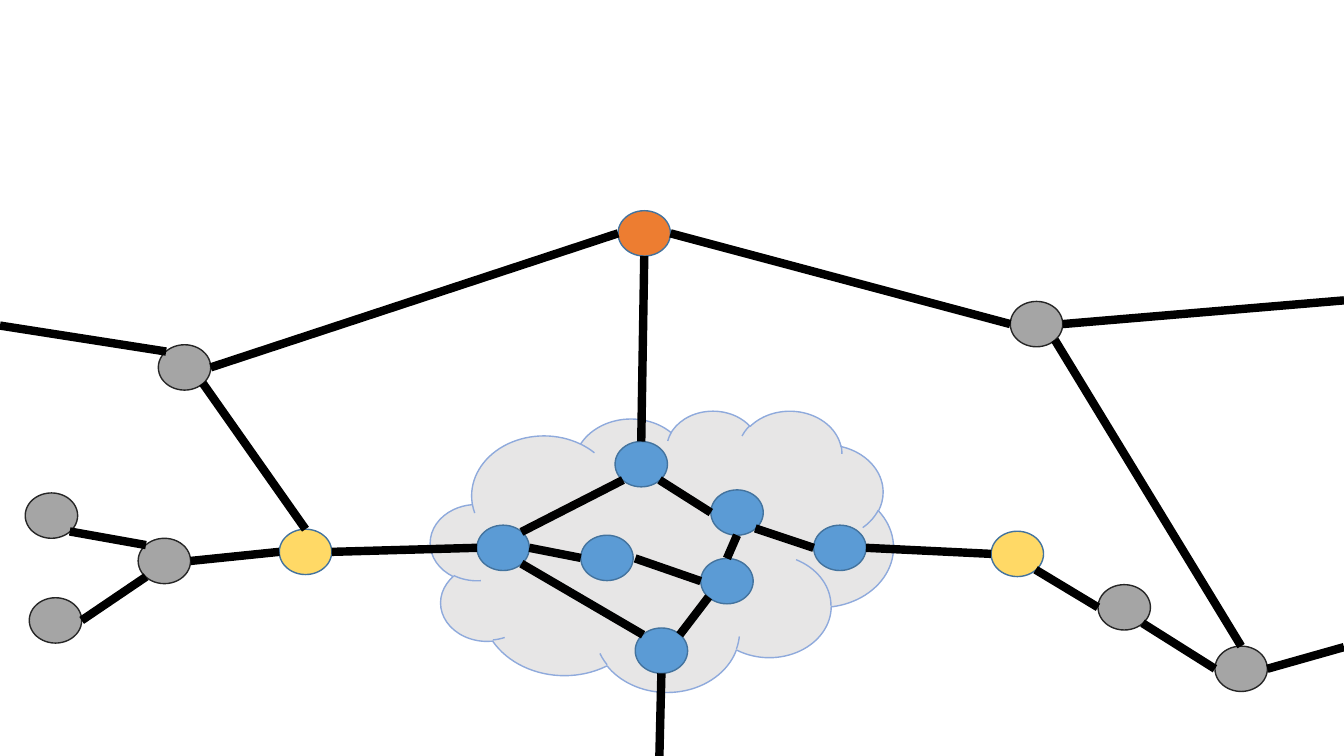
from pptx import Presentation
from pptx.dml.color import RGBColor
from pptx.enum.shapes import MSO_CONNECTOR as CONNECTOR, MSO_SHAPE as SHAPE
from pptx.util import Pt
from lxml.etree import SubElement
from pptx.oxml.ns import qn

PX = 9144
WIDTH, HEIGHT = 1333, 750
NODE_WIDTH, NODE_HEIGHT = 52, 45

COLORS = {
    "cloud": "E7E6E6", "cloud line": "8FAADC",
    "blue": "5B9BD5", "yellow": "FFD966", "orange": "ED7D31",
    "node line": "43739E",
    "gray": "A5A5A5", "gray line": "262626",
    "link": "000000",
}

NODES = {
    "west": (473, 521, "blue"),
    "centre": (576, 531, "blue"),
    "north": (610, 438, "blue"),
    "south": (630, 623, "blue"),
    "east": (807, 521, "blue"),
    "upper": (705, 486, "blue"),
    "lower": (695, 554, "blue"),
    "left gate": (277, 525, "yellow"),
    "right gate": (983, 527, "yellow"),
    "top gate": (613, 209, "orange"),
    "left leaf": (25, 489, "gray"),
    "low leaf": (29, 593, "gray"),
    "left hub": (137, 534, "gray"),
    "right hub": (1089, 580, "gray"),
    "corner": (1205, 641, "gray"),
    "left peer": (157, 342, "gray"),
    "right peer": (1002, 299, "gray"),
}

PORTS = {
    "N": (0.5, 0), "S": (0.5, 1), "W": (0, 0.5), "E": (1, 0.5),
    "NW": (0.15, 0.15), "NE": (0.85, 0.15),
    "SW": (0.15, 0.85), "SE": (0.85, 0.85),
}

LINKS = [
    (("top gate", "S"), ("north", "N")),
    (("north", "SE"), ("upper", "W")),
    (("upper", "SE"), ("east", "W")),
    (("upper", "S"), ("lower", "N")),
    (("lower", "SW"), ("south", "NE")),
    (("lower", "W"), (630, 554)),
    (("north", "SW"), ("west", "NE")),
    (("west", "E"), ("centre", "W")),
    (("south", "NW"), ("west", "SE")),
    (("east", "E"), ("right gate", "W")),
    (("west", "W"), ("left gate", "E")),
    (("left gate", "W"), ("left hub", "E")),
    (("left hub", "NW"), ("left leaf", "SE")),
    (("left hub", "SW"), ("low leaf", "E")),
    (("right hub", "W"), ("right gate", "SE")),
    (("corner", "W"), ("right hub", "SE")),
    (("right peer", "W"), ("top gate", "E")),
    (("left gate", "N"), ("left peer", "SE")),
    (("top gate", "W"), ("left peer", "E")),
    (("right peer", "SE"), ("corner", "N")),
    (("left peer", "NW"), (0, 323)),
    (("corner", "E"), (WIDTH, 642)),
    (("right peer", "E"), (WIDTH, 298)),
    (("south", "S"), (654, HEIGHT)),
]


def add_outlined(kind, left, top, width, height, fill, line):
    shape = page.shapes.add_shape(kind, left * PX, top * PX, width * PX, height * PX)
    shape.shadow.inherit = False
    shape.fill.solid()
    shape.fill.fore_color.rgb = RGBColor.from_string(COLORS[fill])
    shape.line.color.rgb = RGBColor.from_string(COLORS[line])
    shape.line.width = Pt(1)


def locate(end):
    if end[0] not in NODES:
        return end[0] * PX, end[1] * PX
    left, top, _ = NODES[end[0]]
    across, down = PORTS[end[1]]
    return round((left + across * NODE_WIDTH) * PX), round((top + down * NODE_HEIGHT) * PX)


deck = Presentation()
deck.slide_width, deck.slide_height = WIDTH * PX, HEIGHT * PX
page = deck.slides.add_slide(deck.slide_layouts[6])

add_outlined(SHAPE.CLOUD, 427, 407, 459, 279, "cloud", "cloud line")

for left, top, color in NODES.values():
    outline = "gray line" if color == "gray" else "node line"
    add_outlined(SHAPE.OVAL, left, top, NODE_WIDTH, NODE_HEIGHT, color, outline)

for start, finish in LINKS:
    link = page.shapes.add_connector(CONNECTOR.STRAIGHT, *locate(start), *locate(finish))
    link.line.color.rgb = RGBColor.from_string(COLORS["link"])
    link.line.width = Pt(6)
    SubElement(link._element.spPr, qn("a:effectLst"))

deck.save("out.pptx")
